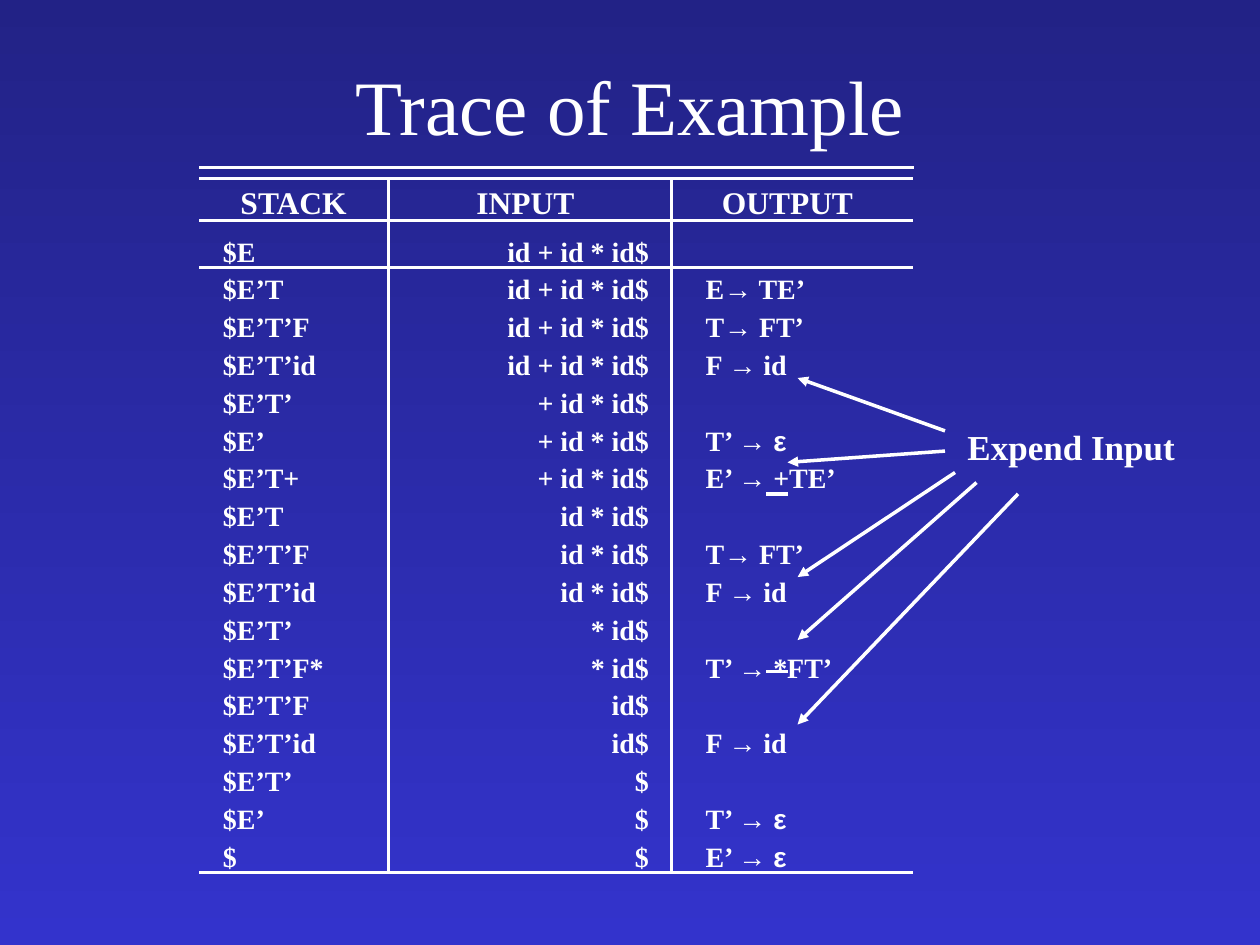
"""Build the slide that traces a predictive parse of id + id * id."""
from itertools import groupby

from lxml.etree import SubElement
from pptx import Presentation
from pptx.dml.color import RGBColor
from pptx.enum.shapes import MSO_CONNECTOR as Connector
from pptx.enum.text import MSO_ANCHOR as Anchor, PP_ALIGN as Align
from pptx.oxml import parse_xml
from pptx.oxml.ns import nsdecls, qn
from pptx.util import Inches, Pt

WHITE = RGBColor(0xFF, 0xFF, 0xFF)
NAVY = RGBColor(0x22, 0x22, 0x86)
BLUE = RGBColor(0x33, 0x33, 0xCC)
SERIF, SYMBOL = "Times New Roman", "Arial"
NO_STYLE = "{2D5ABB26-0587-4C30-8999-92F81FD0307C}"
RULE_WIDTH = Pt(2)

TITLE = "Trace of Example"
NOTE = "Expend Input"
HEADINGS = ("STACK", "INPUT", "OUTPUT")
TRACE = [
    ("$E", "id + id * id$", ""),
    ("$E’T", "id + id * id$", "E→ TE’"),
    ("$E’T’F", "id + id * id$", "T→ FT’"),
    ("$E’T’id", "id + id * id$", "F → id"),
    ("$E’T’", "+ id * id$", ""),
    ("$E’", "+ id * id$", "T’ → ε"),
    ("$E’T+", "+ id * id$", "E’ → +TE’"),
    ("$E’T", "id * id$", ""),
    ("$E’T’F", "id * id$", "T→ FT’"),
    ("$E’T’id", "id * id$", "F → id"),
    ("$E’T’", "* id$", ""),
    ("$E’T’F*", "* id$", "T’ → *FT’"),
    ("$E’T’F", "id$", ""),
    ("$E’T’id", "id$", "F → id"),
    ("$E’T’", "$", ""),
    ("$E’", "$", "T’ → ε"),
    ("$", "$", "E’ → ε"),
]

LEFT, TOP, RIGHT = 1.58, 1.42, 7.25
COLUMN_WIDTHS = (1.5, 2.25, 1.92)
HEADING_HEIGHT, FIRST_HEIGHT, STEP_HEIGHT = 0.33, 0.37, 0.3
HEADING_FORMAT = dict(size=Pt(18), bold=True)
STEP_FORMAT = dict(size=Pt(16), bold=True)
HEADING_INSETS = ((0, 0), (0, 0.07), (0, 0.08))
STEP_INSETS = ((0.19, 0), (0, 0.18), (0.27, 0))
STEP_ALIGNS = (Align.LEFT, Align.RIGHT, Align.LEFT)

RULES = [((LEFT, 1.33), (RIGHT, 1.33))] + [
    ((6.08, y), (6.25, y)) for y in (3.92, 5.33)]
ARROWS = [
    ((7.5, 3.42), (6.33, 3)),
    ((7.5, 3.58), (6.25, 3.67)),
    ((7.58, 3.75), (6.33, 4.58)),
    ((7.75, 3.83), (6.33, 5.08)),
    ((8.08, 3.92), (6.33, 5.75)),
]


def write(paragraph, text, align, formats):
    paragraph.alignment = align
    for is_symbol, letters in groupby(text, lambda letter: letter in "→ε"):
        run = paragraph.add_run()
        run.text = "".join(letters)
        run.font.name = SYMBOL if is_symbol else SERIF
        run.font.color.rgb = WHITE
        for key, value in formats.items():
            setattr(run.font, key, value)


def add_text(slide, text, box, align, anchor, formats):
    frame = slide.shapes.add_textbox(*map(Inches, box)).text_frame
    frame.word_wrap = True
    frame.vertical_anchor = anchor
    write(frame.paragraphs[0], text, align, formats)


def add_line(slide, start, end, arrow=False):
    line = slide.shapes.add_connector(
        Connector.STRAIGHT, *map(Inches, start + end))
    line.line.color.rgb = WHITE
    line.line.width = RULE_WIDTH
    if arrow:
        SubElement(line.line._get_or_add_ln(), qn("a:tailEnd"), type="triangle")
    SubElement(line._element.spPr, qn("a:effectLst"))


def add_borders(cell, sides):
    cell.fill.background()
    for position, side in enumerate(sides):
        cell._tc.tcPr.insert(position, parse_xml(
            f'<a:ln{side} {nsdecls("a")} w="{RULE_WIDTH}"><a:solidFill>'
            f'<a:srgbClr val="{WHITE}"/></a:solidFill></a:ln{side}>'))


def add_trace(slide):
    rows = [HEADINGS] + TRACE
    heights = [HEADING_HEIGHT, FIRST_HEIGHT] + [STEP_HEIGHT] * (len(TRACE) - 1)
    last_row, last_column = len(rows) - 1, len(HEADINGS) - 1
    table = slide.shapes.add_table(
        len(rows), len(HEADINGS), Inches(LEFT), Inches(TOP),
        Inches(sum(COLUMN_WIDTHS)), Inches(sum(heights))).table
    table.first_row = table.horz_banding = False
    table._tbl.tblPr.find(qn("a:tableStyleId")).text = NO_STYLE
    for column, width in zip(table.columns, COLUMN_WIDTHS):
        column.width = Inches(width)
    for r, (texts, height) in enumerate(zip(rows, heights)):
        table.rows[r].height = Inches(height)
        insets = STEP_INSETS if r else HEADING_INSETS
        for c, text in enumerate(texts):
            cell = table.cell(r, c)
            cell.margin_left, cell.margin_right = map(Inches, insets[c])
            cell.margin_top = cell.margin_bottom = 0
            cell.vertical_anchor = Anchor.BOTTOM
            paragraph = cell.text_frame.paragraphs[0]
            paragraph.line_spacing = 0.8
            write(paragraph, text, STEP_ALIGNS[c] if r else Align.CENTER,
                  STEP_FORMAT if r else HEADING_FORMAT)
            borders = {"L": c > 0, "R": c < last_column,
                       "T": r < 2, "B": r in (0, last_row)}
            add_borders(cell, [side for side, drawn in borders.items() if drawn])


def main():
    deck = Presentation()
    deck.slide_width, deck.slide_height = Inches(10), Inches(7.5)
    slide = deck.slides.add_slide(deck.slide_layouts[6])
    backdrop = slide.background.fill
    backdrop.gradient()
    backdrop.gradient_angle = 270
    for stop, color in zip(backdrop.gradient_stops, (NAVY, BLUE)):
        stop.color.rgb = color
    add_text(slide, TITLE, (0.75, 0.25, 8.5, 1.17), Align.CENTER,
             Anchor.MIDDLE, dict(size=Pt(44)))
    add_text(slide, NOTE, (7.58, 3.33, 2.08, 0.44), Align.LEFT,
             Anchor.TOP, dict(size=Pt(20), bold=True))
    add_trace(slide)
    for start, end in RULES:
        add_line(slide, start, end)
    for start, end in ARROWS:
        add_line(slide, start, end, arrow=True)
    deck.save("out.pptx")


if __name__ == "__main__":
    main()
